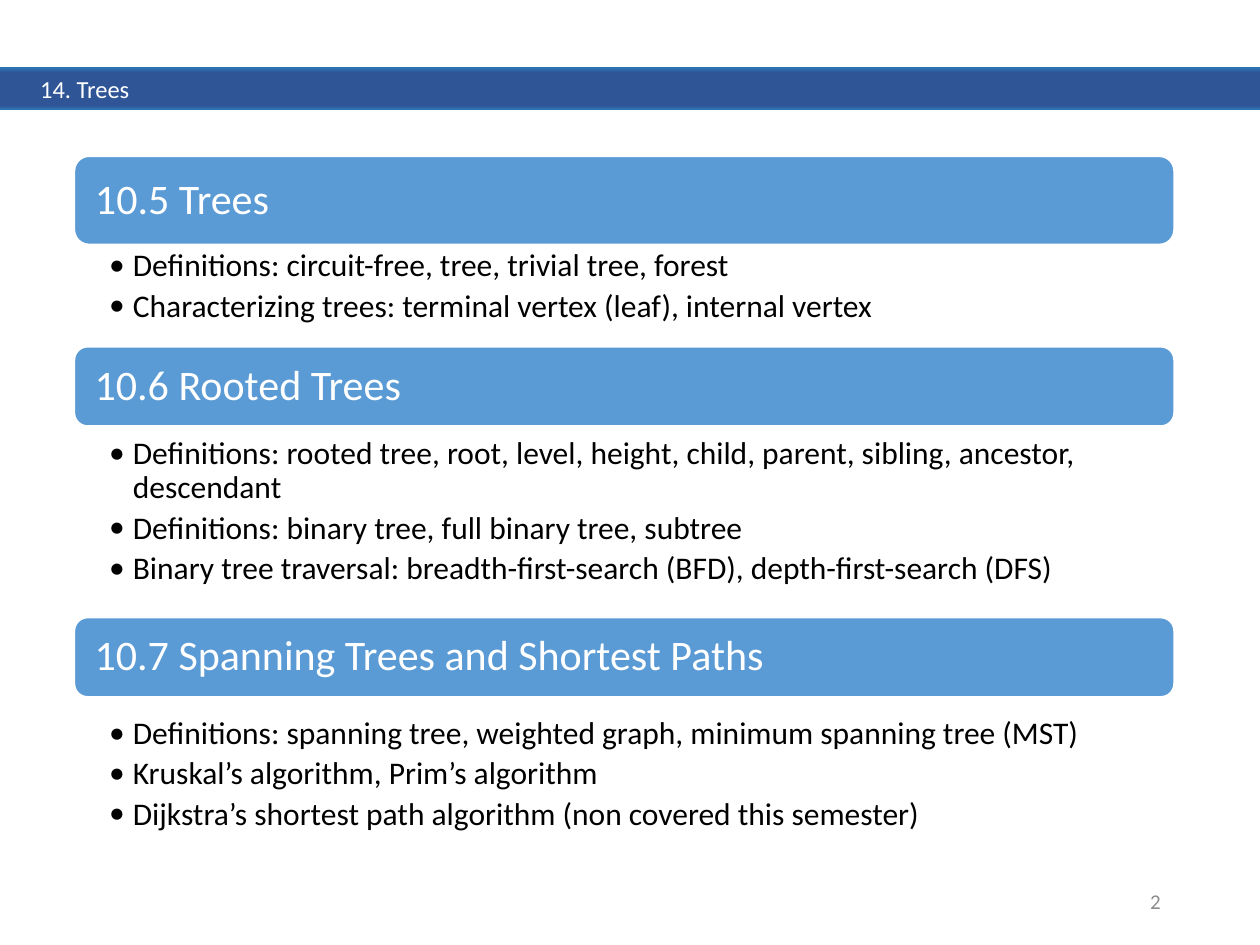
"""Build an outline slide on trees with three headed topics."""
from dataclasses import dataclass

from lxml.etree import SubElement
from pptx import Presentation
from pptx.dml.color import RGBColor as Rgb
from pptx.enum.shapes import MSO_SHAPE as Shape
from pptx.enum.text import MSO_ANCHOR as Anchor, PP_ALIGN as Align
from pptx.oxml.ns import qn
from pptx.util import Cm, Pt


@dataclass(frozen=True)
class Theme:
    font: str = "Calibri"
    white: str = "FFFFFF"
    black: str = "000000"
    gray: str = "8C8C8C"
    blue: str = "5B9BD5"
    edge: str = "2E75B6"
    core: str = "2F5597"
    head: int = 24
    body: int = 18
    title: int = 14
    page: int = 12


THEME = Theme()
LEFT, WIDTH = 1.5, 22.17
TOPICS = [
    (3.15, 1.78, "10.5 Trees", 4.95, 2.34, [
        "Definitions: circuit-free, tree, trivial tree, forest",
        "Characterizing trees: terminal vertex (leaf), internal vertex",
    ]),
    (6.99, 1.6, "10.6 Rooted Trees", 8.74, 3.58, [
        "Definitions: rooted tree, root, level, height, child, parent, sibling, ancestor, descendant",
        "Definitions: binary tree, full binary tree, subtree",
        "Binary tree traversal: breadth-first-search (BFD), depth-first-search (DFS)",
    ]),
    (12.45, 1.6, "10.7 Spanning Trees and Shortest Paths", 14.38, 2.57, [
        "Definitions: spanning tree, weighted graph, minimum spanning tree (MST)",
        "Kruskal’s algorithm, Prim’s algorithm",
        "Dijkstra’s shortest path algorithm (non covered this semester)",
    ]),
]


def write(frame, text, size, color, align=Align.LEFT):
    frame.text = text
    frame.word_wrap = True
    for para in frame.paragraphs:
        para.alignment = align
        for run in para.runs:
            run.font.name = THEME.font
            run.font.size = Pt(size)
            run.font.color.rgb = Rgb.from_string(color)


def inset(frame, left, top, right, base):
    frame.margin_left, frame.margin_top = Cm(left), Cm(top)
    frame.margin_right, frame.margin_bottom = Cm(right), Cm(base)


def add_bar(slide, top, height):
    bar = slide.shapes.add_shape(Shape.RECTANGLE, 0, Cm(top), Cm(25.4), Cm(height))
    bar.shadow.inherit = False
    bar.line.fill.background()
    bar.fill.gradient()
    bar.fill.gradient_angle = 270
    stops = bar._element.spPr.find(".//" + qn("a:gsLst"))
    for stop in list(stops):
        stops.remove(stop)
    for part, color in ((0, THEME.edge), (11, THEME.core), (91, THEME.core), (100, THEME.edge)):
        stop = SubElement(stops, qn("a:gs"), pos=str(part * 1000))
        SubElement(stop, qn("a:srgbClr"), val=color)
    return bar


def add_head(slide, top, height, text):
    box = slide.shapes.add_shape(Shape.ROUNDED_RECTANGLE, Cm(LEFT), Cm(top), Cm(WIDTH), Cm(height))
    box.shadow.inherit = False
    box.fill.solid()
    box.fill.fore_color.rgb = Rgb.from_string(THEME.blue)
    box.line.color.rgb = Rgb.from_string(THEME.white)
    box.line.width = Pt(1)
    frame = box.text_frame
    frame.vertical_anchor = Anchor.MIDDLE
    inset(frame, 0.33, 0.25, 0.33, 0.25)
    write(frame, text, THEME.head, THEME.white)
    frame.paragraphs[0].line_spacing = 0.9


def add_list(slide, top, height, items):
    box = slide.shapes.add_textbox(Cm(LEFT), Cm(top), Cm(WIDTH), Cm(height))
    frame = box.text_frame
    inset(frame, 0.7, 0.08, 0.36, 0.08)
    write(frame, "\n".join(items), THEME.body, THEME.black)
    for para in frame.paragraphs:
        para.level = 1
        para.line_spacing = 0.9
        para.space_after = Pt(3.6)
        props = para._p.get_or_add_pPr()
        props.set("marL", str(Cm(0.48)))
        props.set("indent", str(-Cm(0.48)))
        SubElement(props, qn("a:buFont"), typeface=THEME.font)
        SubElement(props, qn("a:buChar"), char="•")


def add_page(slide, text):
    box = slide.shapes.add_textbox(Cm(17.93), Cm(17.65), Cm(5.72), Cm(1.02))
    box.text_frame.vertical_anchor = Anchor.MIDDLE
    write(box.text_frame, text, THEME.page, THEME.gray, Align.RIGHT)


def main():
    deck = Presentation()
    deck.slide_width, deck.slide_height = Cm(25.4), Cm(19.05)
    slide = deck.slides.add_slide(deck.slide_layouts[6])
    add_bar(slide, 1.35, 0.76)
    add_page(slide, "2")
    bar = add_bar(slide, 1.37, 0.84)
    bar.text_frame.vertical_anchor = Anchor.TOP
    inset(bar.text_frame, 0.81, 0.13, 0.25, 0.13)
    write(bar.text_frame, "14. Trees", THEME.title, THEME.white)
    for top, height, head, start, depth, items in TOPICS:
        add_head(slide, top, height, head)
        add_list(slide, start, depth, items)
    deck.save("out.pptx")


if __name__ == "__main__":
    main()
